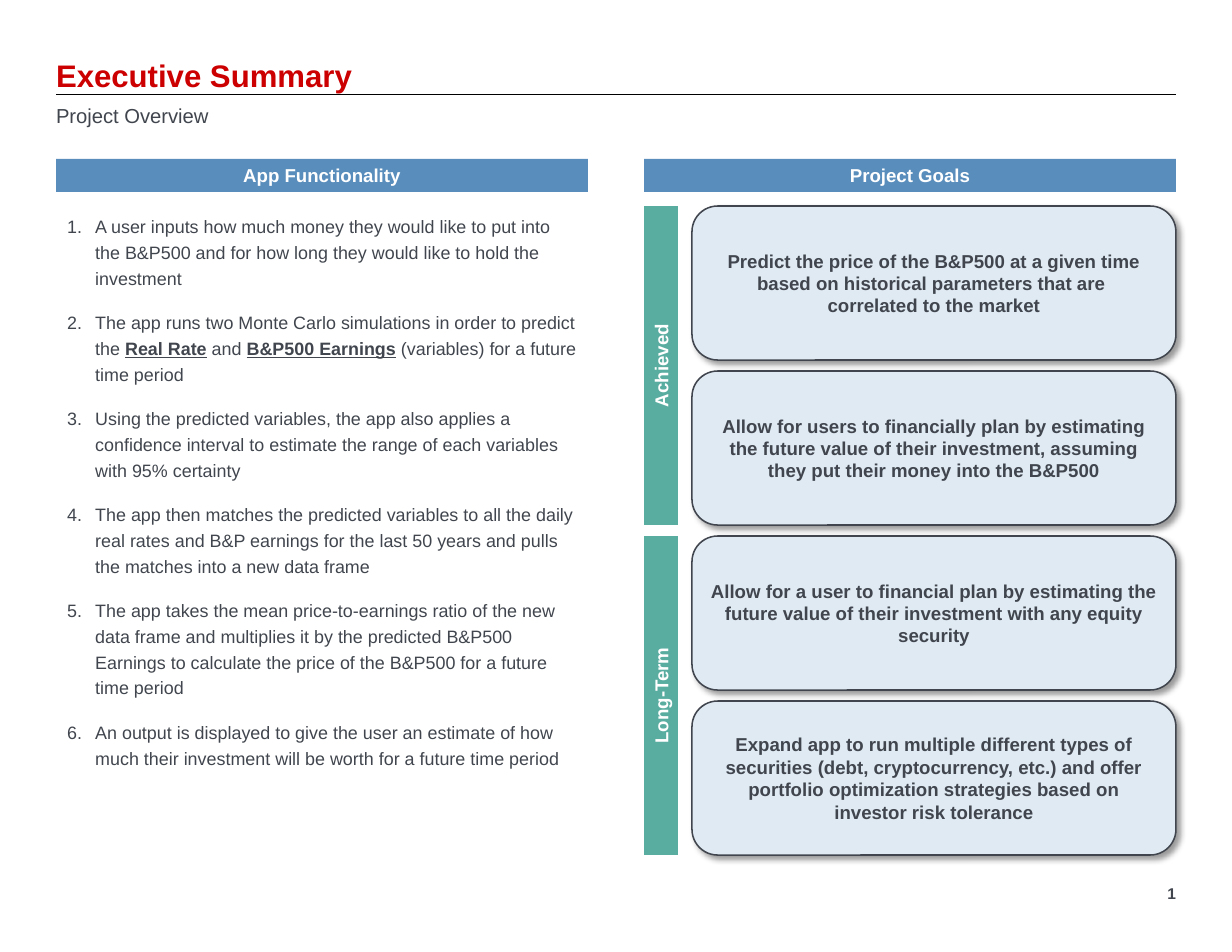
from dataclasses import dataclass

from lxml import etree
from pptx import Presentation
from pptx import util as u
from pptx.dml.color import RGBColor
from pptx.enum import shapes, text
from pptx.oxml import ns

ALIGN = text.PP_ALIGN
ANCHOR = text.MSO_ANCHOR
SHAPE = shapes.MSO_SHAPE


@dataclass(frozen=True)
class Theme:
    font: str = "Arial"
    red: str = "CC0000"
    ink: str = "41464E"
    blue: str = "598DBC"
    teal: str = "59ADA0"
    pale: str = "E0EAF3"
    white: str = "FFFFFF"
    black: str = "000000"
    head: float = 20
    sub: float = 13
    label: float = 12
    item: float = 11.5
    page: float = 10


STEPS = [
    "A user inputs how much money they would like to put into the B&P500 "
    "and for how long they would like to hold the investment",
    "The app runs two Monte Carlo simulations in order to predict the "
    "*Real Rate* and *B&P500 Earnings* (variables) for a future time period",
    "Using the predicted variables, the app also applies a confidence "
    "interval to estimate the range of each variables with 95% certainty",
    "The app then matches the predicted variables to all the daily real rates "
    "and B&P earnings for the last 50 years and pulls the matches into a new "
    "data frame",
    "The app takes the mean price-to-earnings ratio of the new data frame and "
    "multiplies it by the predicted B&P500 Earnings to calculate the price of "
    "the B&P500 for a future time period",
    "An output is displayed to give the user an estimate of how much their "
    "investment will be worth for a future time period",
]
GOALS = [
    ["Predict the price of the B&P500 at a given time based on historical "
     "parameters that are ", "correlated to the market"],
    ["Allow for users to financially plan by estimating the future value of "
     "their investment, assuming they put their money into the B&P500"],
    ["Allow for a user to financial plan by estimating the future value of "
     "their investment with any equity security"],
    ["Expand app to run multiple different types of securities (debt, "
     "cryptocurrency, etc.) and offer portfolio optimization strategies "
     "based on investor risk tolerance"],
]


def px(n):
    return u.Emu(round(n * 914400 / 112))


def rgb(code):
    return RGBColor.from_string(code)


def node(parent, tag, **attrs):
    return etree.SubElement(parent, ns.qn(tag), attrs)


def write(shape, lines, size, color, bold=False, align=ALIGN.LEFT,
          anchor=ANCHOR.TOP, inset=None, lead=None, before=0, after=0,
          number=False):
    """Fill a shape with paragraphs; *marked* words are bold and underlined."""
    frame = shape.text_frame
    frame.word_wrap = True
    frame.auto_size = text.MSO_AUTO_SIZE.NONE
    frame.vertical_anchor = anchor
    if inset is not None:
        frame.margin_left = frame.margin_right = px(inset)
        frame.margin_top = frame.margin_bottom = px(inset)
    for i, line in enumerate(lines):
        para = frame.add_paragraph() if i else frame.paragraphs[0]
        para.alignment = align
        para.line_spacing = lead
        para.space_before, para.space_after = u.Pt(before), u.Pt(after)
        props = para._p.get_or_add_pPr()
        indent = px(28) if number else 0
        props.set("marL", str(indent))
        props.set("indent", str(-indent))
        if number:
            node(props, "a:buFont", typeface=Theme.font)
            node(props, "a:buAutoNum", type="arabicPeriod")
        else:
            node(props, "a:buNone")
        for j, part in enumerate(line.split("*")):
            run = para.add_run()
            run.text = part
            font = run.font
            font.name, font.size = Theme.font, u.Pt(size)
            font.color.rgb = rgb(color)
            font.bold = bold or j % 2 == 1
            font.underline = j % 2 == 1


class Deck:
    def __init__(self, theme):
        self.look = theme
        self.file = Presentation()
        self.file.slide_width, self.file.slide_height = px(1232), px(952)
        self.slide = self.file.slides.add_slide(self.file.slide_layouts[3])

    def fill(self, slot, box, lines, **style):
        """Move a template placeholder into place and write in it."""
        shape = self.slide.placeholders[slot]
        shape.left, shape.top, shape.width, shape.height = map(px, box)
        write(shape, lines, **style)

    def note(self, box, line, **style):
        shape = self.slide.shapes.add_textbox(*map(px, box))
        write(shape, [line], **style)

    def rule(self, x, y, end):
        line = self.slide.shapes.add_connector(
            shapes.MSO_CONNECTOR.STRAIGHT, px(x), px(y), px(end), px(y))
        line.line.color.rgb = rgb(self.look.black)
        line.line.width = u.Pt(0.5)
        node(line._element.spPr, "a:effectLst")

    def block(self, kind, box, lines, fill, color):
        shape = self.slide.shapes.add_shape(kind, *map(px, box))
        shape.shadow.inherit = False
        shape.fill.solid()
        shape.fill.fore_color.rgb = rgb(fill)
        shape.line.fill.background()
        write(shape, lines, self.look.label, color, bold=True,
              align=ALIGN.CENTER, anchor=ANCHOR.MIDDLE)
        return shape

    def banner(self, box, label):
        self.block(SHAPE.RECTANGLE, box, [label], self.look.blue,
                   self.look.white)

    def strip(self, x, y, wide, tall, label):
        """Add a bar that reads from bottom to top."""
        shift = (tall - wide) / 2
        bar = self.block(SHAPE.RECTANGLE, (x - shift, y + shift, tall, wide),
                         [label], self.look.teal, self.look.white)
        bar.rotation = 270

    def card(self, box, lines):
        shape = self.block(SHAPE.ROUNDED_RECTANGLE, box, lines,
                           self.look.pale, self.look.ink)
        shape.line.color.rgb = rgb(self.look.ink)
        shape.line.width = u.Pt(1)
        effect = shape._element.spPr.find(ns.qn("a:effectLst"))
        shade = node(effect, "a:outerShdw", blurRad=str(u.Pt(4)),
                     dist=str(u.Pt(3)), dir="2700000", algn="tl",
                     rotWithShape="0")
        tint = node(shade, "a:srgbClr", val=self.look.black)
        node(tint, "a:alpha", val="40000")


def main():
    look = Theme()
    deck = Deck(look)
    left, right, wide = 56, 644, 532
    top, tall, gap = 206, 154, 11
    step = tall + gap

    deck.rule(left, 94, right + wide)
    deck.fill(0, (left, 56, 1008, 38), ["Executive Summary"], size=look.head,
              color=look.red, bold=True, anchor=ANCHOR.BOTTOM, inset=0,
              lead=u.Pt(24))
    deck.fill(1, (left, 104, 1120, 24), ["Project Overview"], size=look.sub,
              color=look.ink, inset=0, lead=u.Pt(15), after=6)
    deck.fill(2, (left, top, wide, 430), STEPS, size=look.item,
              color=look.ink, lead=1.2, before=6, after=6, number=True)

    for x, label in ((left, "App Functionality"), (right, "Project Goals")):
        deck.banner((x, 159, wide, 33), label)
    for i, goal in enumerate(GOALS):
        deck.card((right + 48, top + i * step, wide - 48, tall), goal)
    for i, label in enumerate(("Achieved", "Long-Term")):
        deck.strip(right, top + 2 * i * step, 34, 2 * tall + gap, label)

    deck.note((1136, 877, 40, 32), "1", size=look.page, color=look.ink,
              bold=True, align=ALIGN.RIGHT, anchor=ANCHOR.MIDDLE, inset=0)
    deck.file.save("out.pptx")


if __name__ == "__main__":
    main()
